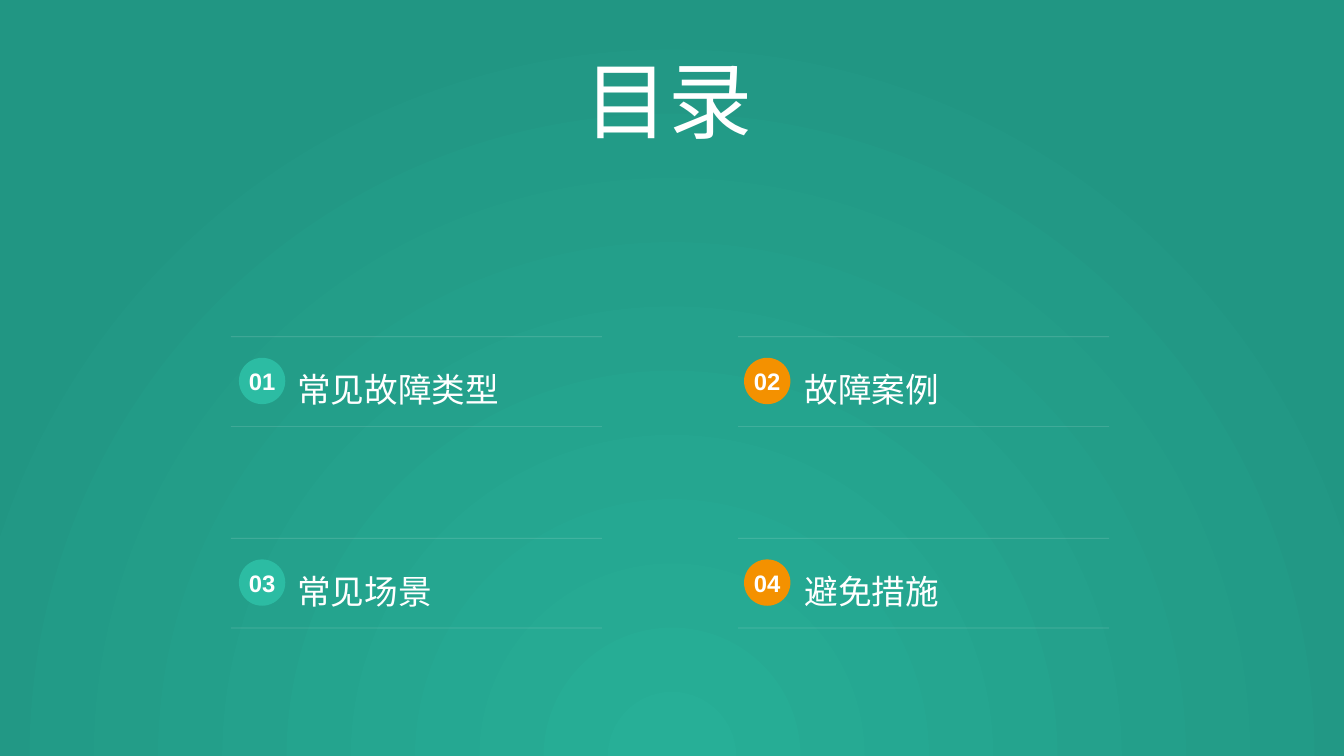
from lxml.etree import SubElement
from pptx import Presentation
from pptx.dml.color import RGBColor
from pptx.enum.shapes import MSO_CONNECTOR, MSO_SHAPE
from pptx.enum.text import MSO_ANCHOR, MSO_AUTO_SIZE, PP_ALIGN
from pptx.oxml.ns import qn
from pptx.util import Inches, Pt

TITLE = "目录"
CHAPTERS = ["常见故障类型", "故障案例", "常见场景", "避免措施"]

WHITE = RGBColor(0xFF, 0xFF, 0xFF)
MINT = RGBColor(0x2C, 0xBC, 0xA3)
ORANGE = RGBColor(0xF4, 0x91, 0x00)
GLOW = RGBColor(0x27, 0xAF, 0x97)
EDGE = RGBColor(0x21, 0x96, 0x83)
LATIN, CJK = "Arial", "Noto Sans CJK SC"

COLUMNS = [
    {"rule": 2.29, "badge": 2.37, "label": 2.85, "color": MINT},
    {"rule": 7.32, "badge": 7.38, "label": 7.88, "color": ORANGE},
]
FIRST_ROW, ROW_STEP = 3.34, 2.0
RULE_WIDTH, RULE_GAP = 3.68, 0.89
BADGE_SIZE, BADGE_DROP, LABEL_DROP = 0.46, 0.21, 0.15


def paint_background(slide):
    fill = slide.background.fill
    fill.gradient()
    for stop, color in zip(fill.gradient_stops, (GLOW, EDGE)):
        stop.color.rgb = color
    gradient = next(slide.element.iter(qn("a:gradFill")))
    gradient.remove(gradient.find(qn("a:lin")))
    circle = SubElement(gradient, qn("a:path"), {"path": "circle"})
    SubElement(circle, qn("a:fillToRect"),
               {"l": "50000", "t": "130000", "r": "50000", "b": "-30000"})


def style(paragraph, size, latin, bold=False):
    font = paragraph.font
    font.size, font.name, font.bold = Pt(size), latin, bold
    font.color.rgb = WHITE
    SubElement(paragraph._p.pPr.find(qn("a:defRPr")), qn("a:ea"), {"typeface": CJK})


def add_text(slide, text, box, size, latin, spacing=None):
    frame = slide.shapes.add_textbox(*map(Inches, box)).text_frame
    frame.word_wrap = True
    frame.auto_size = MSO_AUTO_SIZE.SHAPE_TO_FIT_TEXT
    frame.text = text
    paragraph = frame.paragraphs[0]
    paragraph.line_spacing = spacing
    style(paragraph, size, latin)


def add_rule(slide, left, top):
    rule = slide.shapes.add_connector(
        MSO_CONNECTOR.STRAIGHT, Inches(left), Inches(top),
        Inches(left + RULE_WIDTH), Inches(top))
    rule.line.color.rgb = WHITE
    rule.line.width = Pt(0.5)
    color = next(rule.line._ln.iter(qn("a:srgbClr")))
    SubElement(color, qn("a:alpha"), {"val": "20000"})
    SubElement(rule._element.spPr, qn("a:effectLst"))


def add_badge(slide, number, left, top, color):
    badge = slide.shapes.add_shape(
        MSO_SHAPE.OVAL, Inches(left), Inches(top), Inches(BADGE_SIZE), Inches(BADGE_SIZE))
    badge.shadow.inherit = False
    badge.fill.solid()
    badge.fill.fore_color.rgb = color
    badge.line.fill.background()
    frame = badge.text_frame
    frame.margin_left = frame.margin_right = frame.margin_top = frame.margin_bottom = 0
    frame.word_wrap = False
    frame.vertical_anchor = MSO_ANCHOR.MIDDLE
    frame.text = f"{number:02d}"
    paragraph = frame.paragraphs[0]
    paragraph.alignment = PP_ALIGN.CENTER
    style(paragraph, 17, LATIN, bold=True)


def main():
    deck = Presentation()
    deck.slide_width, deck.slide_height = Inches(13.33), Inches(7.5)
    slide = deck.slides.add_slide(deck.slide_layouts[6])
    paint_background(slide)
    for index, chapter in enumerate(CHAPTERS):
        row, col = divmod(index, len(COLUMNS))
        column = COLUMNS[col]
        top = FIRST_ROW + row * ROW_STEP
        add_text(slide, chapter, (column["label"], top + LABEL_DROP, 3.31, 0.63), 24, CJK, 1.3)
        add_rule(slide, column["rule"], top)
        add_rule(slide, column["rule"], top + RULE_GAP)
        add_badge(slide, index + 1, column["badge"], top + BADGE_DROP, column["color"])
    add_text(slide, TITLE, (5.7, 0.43, 1.88, 1.11), 60, LATIN)
    deck.save("out.pptx")


if __name__ == "__main__":
    main()
